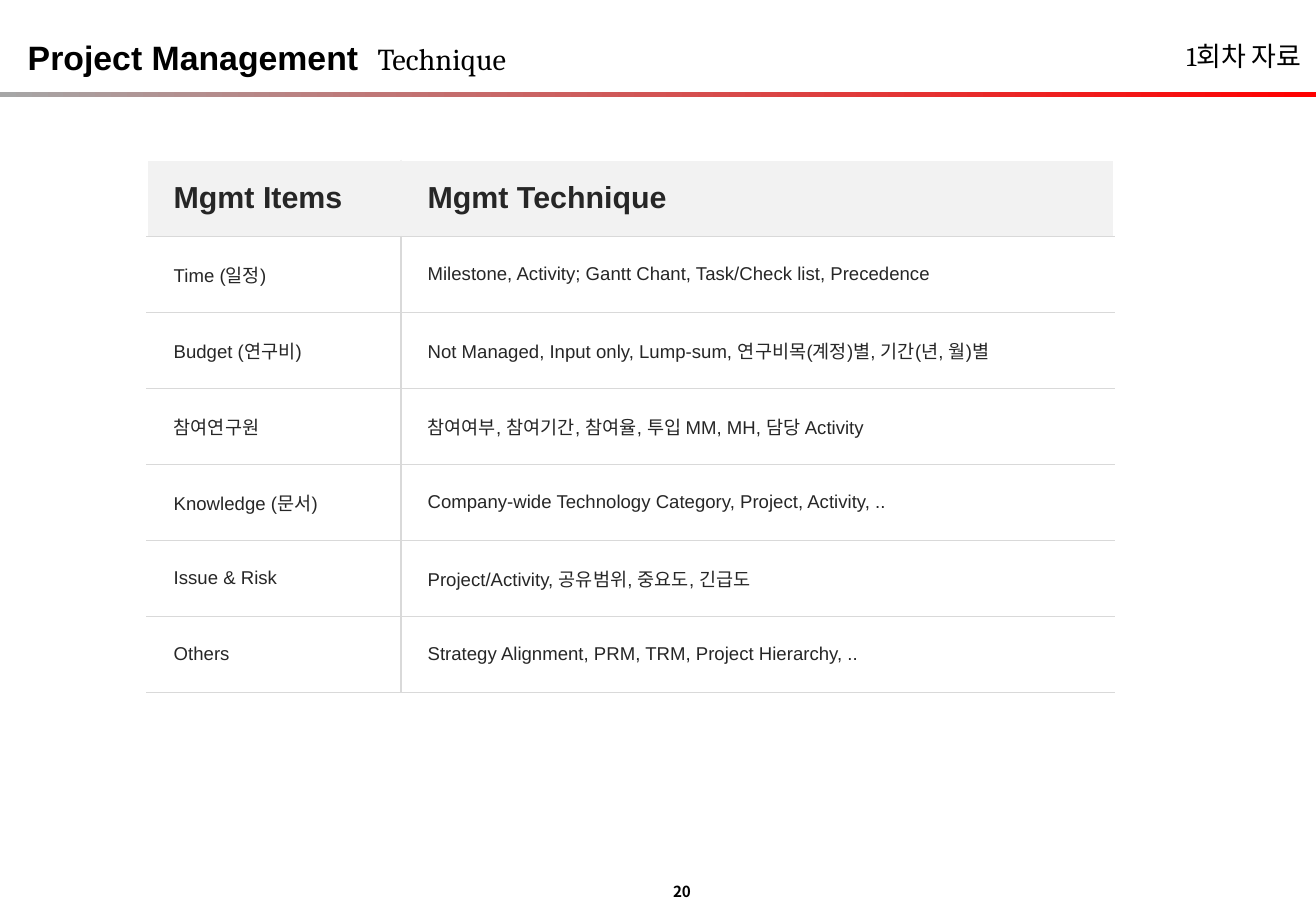
from lxml import etree
from pptx import Presentation
from pptx.dml.color import RGBColor
from pptx.enum.shapes import MSO_SHAPE
from pptx.enum.text import MSO_ANCHOR, PP_ALIGN
from pptx.oxml.ns import qn
from pptx.util import Inches, Pt

RECT = MSO_SHAPE.RECTANGLE
TOP, MIDDLE = MSO_ANCHOR.TOP, MSO_ANCHOR.MIDDLE
LEFT, RIGHT = PP_ALIGN.LEFT, PP_ALIGN.RIGHT
COLS, ROWS = 108.3, 75
KOREAN = "Noto Sans CJK KR"
COLORS = {"black": "000000", "ink": "262626", "white": "FFFFFF",
          "head": "F2F2F2", "rule": "D9D9D9", "gray": "A6A6A6", "red": "FF0000"}
FORMATS = {
    "title": {"size": Pt(20), "name": "Arial", "bold": True},
    "topic": {"size": Pt(18), "name": "Cambria", "bold": False},
    "round": {"size": Pt(16), "name": "Cambria", "bold": False},
    "page": {"size": Pt(9), "name": KOREAN, "bold": True},
    "head": {"size": Pt(18), "name": "Arial", "bold": True},
    "body": {"size": Pt(11), "name": "Arial", "bold": False},
}
ITEMS = [
    ("Mgmt Items", "Mgmt Technique"),
    ("Time (일정)", "Milestone, Activity; Gantt Chant, Task/Check list, Precedence"),
    ("Budget (연구비)", "Not Managed, Input only, Lump-sum, 연구비목(계정)별, 기간(년, 월)별"),
    ("참여연구원", "참여여부, 참여기간, 참여율, 투입 MM, MH, 담당 Activity"),
    ("Knowledge (문서)", "Company-wide Technology Category, Project, Activity, .."),
    ("Issue & Risk", "Project/Activity, 공유범위, 중요도, 긴급도"),
    ("Others", "Strategy Alignment, PRM, TRM, Project Hierarchy, .."),
]


def grid(*units):
    return [Inches(unit / 10) for unit in units]


def color(name):
    return RGBColor.from_string(COLORS[name])


def write(para, text, style, ink="black"):
    run = para.add_run()
    run.text = text
    for key, value in FORMATS[style].items():
        setattr(run.font, key, value)
    run.font.color.rgb = color(ink)
    etree.SubElement(run.font._element, qn("a:ea"), typeface=KOREAN)


def label(slide, box, parts, align=LEFT, anchor=TOP, tab=None):
    frame = slide.shapes.add_textbox(*grid(*box)).text_frame
    frame.word_wrap = False
    frame.vertical_anchor = anchor
    para = frame.paragraphs[0]
    para.alignment = align
    if tab:
        stops = etree.SubElement(para._p.get_or_add_pPr(), qn("a:tabLst"))
        etree.SubElement(stops, qn("a:tab"), pos=str(grid(tab)[0]), algn="l")
    for text, style in parts:
        write(para, text, style)


def header(slide, box):
    left, top, width, height = box
    bar = slide.shapes.add_shape(RECT, *grid(left, top + height - 0.4, width, 0.4))
    bar.shadow.inherit = False
    bar.line.fill.background()
    bar.fill.gradient()
    bar.fill.gradient_angle = 0
    for stop, name in zip(bar.fill.gradient_stops, ("gray", "red")):
        stop.color.rgb = color(name)
    label(slide, (left + 1.3, top + 2.5, 44.5, 4.4),
          [("Project Management\t", "title"), ("Technique", "topic")], tab=28.8)
    label(slide, (left + width - 13, top + 2.8, 12.8, 3.7),
          [("1회차 자료", "round")], RIGHT)


def edge(cell, side, name, width):
    line = etree.SubElement(cell._tc.get_or_add_tcPr(), qn("a:ln" + side),
                            w=str(Pt(width)))
    fill = etree.SubElement(line, qn("a:solidFill"))
    etree.SubElement(fill, qn("a:srgbClr"), val=COLORS[name])


def matrix(slide, box):
    table = slide.shapes.add_table(len(ITEMS), 2, *grid(*box)).table
    table.horz_banding = False
    first = 20.9
    for column, width in zip(table.columns, grid(first, box[2] - first)):
        column.width = width
    for row, texts in enumerate(ITEMS):
        style = "body" if row else "head"
        inner = ("rule", 0.75) if row else ("head", 0.75)
        outer = ("white", 1)
        for col, text in enumerate(texts):
            cell = table.cell(row, col)
            edges = {"L": inner if col else outer, "R": outer if col else inner,
                     "T": inner if row else outer, "B": ("rule", 0.75)}
            for side, look in edges.items():
                edge(cell, side, *look)
            cell.fill.solid()
            cell.fill.fore_color.rgb = color("white" if row else "head")
            cell.vertical_anchor = MIDDLE
            for side, inset in zip(("left", "top", "right", "bottom"),
                                   grid(2.2, 1.2, 2.2, 1.2)):
                setattr(cell, "margin_" + side, inset)
            write(cell.text_frame.paragraphs[0], text, style, "ink")


def footer(slide, box):
    left, top, width, height = box
    label(slide, (left + width / 2, top, 3.7, height), [("20", "page")], RIGHT, MIDDLE)


def main():
    deck = Presentation()
    deck.slide_width, deck.slide_height = grid(COLS, ROWS)
    slide = deck.slides.add_slide(deck.slide_layouts[6])
    header(slide, (0, 0, COLS, 8))
    matrix(slide, (12.1, 13.2, 79.6, 43.8))
    footer(slide, (0, 72.1, COLS, 2.5))
    deck.save("out.pptx")


if __name__ == "__main__":
    main()
